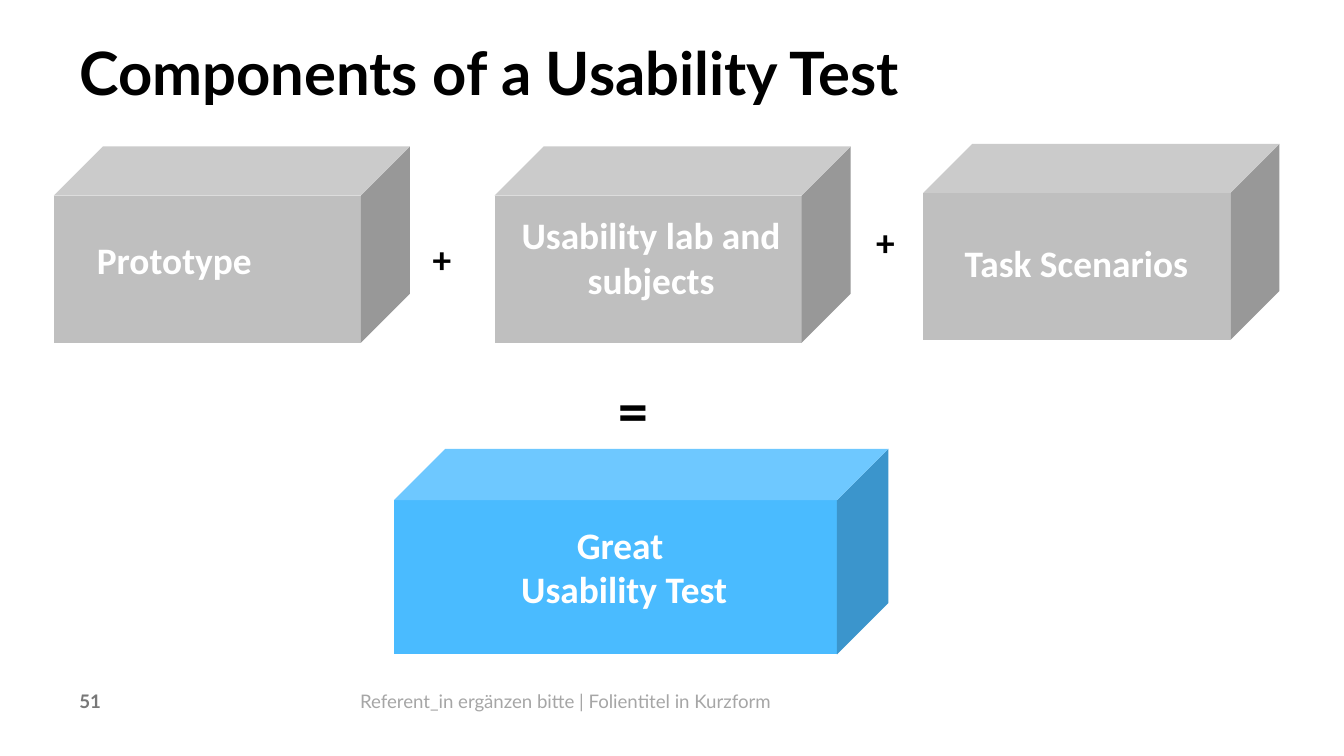
"""Build the slide on the components of a usability test."""
from dataclasses import dataclass

from pptx import Presentation
from pptx.dml.color import RGBColor
from pptx.enum.shapes import MSO_SHAPE
from pptx.enum.text import MSO_ANCHOR, PP_ALIGN
from pptx.util import Inches, Pt

BLACK, WHITE, GREY, BLUE = "000000", "FFFFFF", "BFBFBF", "4ABBFF"
SLIDE_WIDTH = 10
SLIDE_HEIGHT = SLIDE_WIDTH * 9 / 16


@dataclass(frozen=True)
class Box:
    left: float
    top: float
    width: float
    height: float

    def lengths(self) -> list[Inches]:
        return [Inches(n) for n in (self.left, self.top, self.width, self.height)]


@dataclass(frozen=True)
class Label:
    text: str
    box: Box
    size: int = 20
    color: str = WHITE
    font: str = "Calibri"
    bold: bool = True
    align: PP_ALIGN = PP_ALIGN.LEFT
    anchor: MSO_ANCHOR = MSO_ANCHOR.MIDDLE
    bottom_inset: float = 0.05


@dataclass(frozen=True)
class Block:
    shape: MSO_SHAPE
    box: Box
    fill: str


def rgb(color: str) -> RGBColor:
    return RGBColor.from_string(color)


def write(holder, label: Label) -> None:
    frame = holder.text_frame
    frame.word_wrap = True
    frame.vertical_anchor = label.anchor
    frame.margin_left = frame.margin_top = frame.margin_right = 0
    frame.margin_bottom = Inches(label.bottom_inset)
    frame.text = label.text
    for paragraph in frame.paragraphs:
        paragraph.alignment = label.align
        for run in paragraph.runs:
            run.font.name = label.font
            run.font.size = Pt(label.size)
            run.font.bold = label.bold
            run.font.color.rgb = rgb(label.color)


def add_label(slide, label: Label) -> None:
    write(slide.shapes.add_textbox(*label.box.lengths()), label)


def add_block(slide, block: Block):
    solid = slide.shapes.add_shape(block.shape, *block.box.lengths())
    solid.shadow.inherit = False
    solid.fill.solid()
    solid.fill.fore_color.rgb = rgb(block.fill)
    solid.line.fill.background()
    return solid


def add_title(slide, label: Label) -> None:
    title = slide.shapes.title
    title.left, title.top, title.width, title.height = label.box.lengths()
    write(title, label)
    title.text_frame.paragraphs[0].line_spacing = Pt(34)


TITLE = Label("Components of a Usability Test", Box(0.59, 0.33, 8.23, 0.49),
              32, BLACK, "Lato", anchor=MSO_ANCHOR.TOP, bottom_inset=0)
FOOTERS = [
    Label("Referent_in ergänzen bitte | Folientitel in Kurzform", Box(2.68, 5.13, 6, 0.2),
          10, "A6A6A6", "Lato", False, anchor=MSO_ANCHOR.TOP, bottom_inset=0),
    Label("51", Box(0.59, 5.13, 1.89, 0.2),
          10, "787878", "Lato", anchor=MSO_ANCHOR.TOP, bottom_inset=0),
]
COMPONENTS = [
    Block(MSO_SHAPE.CUBE, Box(left, top, 2.65, 1.46), GREY)
    for left, top in ((0.4, 1.09), (3.68, 1.09), (6.87, 1.07))
]
RESULT = Block(MSO_SHAPE.CUBE, Box(2.93, 3.34, 3.68, 1.53), BLUE)
LABELS = [
    Label("Prototype", Box(0.72, 1.76, 1.55, 0.39)),
    Label("Usability lab and subjects", Box(3.8, 1.58, 2.09, 0.72), align=PP_ALIGN.CENTER),
    Label("+", Box(3.22, 1.75, 0.24, 0.39), color=BLACK),
    Label("+", Box(6.52, 1.63, 0.24, 0.39), color=BLACK),
    Label("=", Box(4.6, 2.77, 0.39, 0.59), 32, BLACK),
    Label("Great \nUsability Test", Box(3.57, 3.88, 2.15, 0.72), align=PP_ALIGN.CENTER),
]
SCENARIOS = Label("Task Scenarios", Box(6.88, 1.62, 2.26, 0.72), align=PP_ALIGN.CENTER)


def main() -> None:
    deck = Presentation()
    deck.slide_width, deck.slide_height = Inches(SLIDE_WIDTH), Inches(SLIDE_HEIGHT)
    slide = deck.slides.add_slide(deck.slide_layouts[5])
    add_title(slide, TITLE)
    for block in (*COMPONENTS, RESULT):
        add_block(slide, block)
    for label in (*FOOTERS, *LABELS):
        add_label(slide, label)
    write(add_block(slide, Block(MSO_SHAPE.RECTANGLE, SCENARIOS.box, GREY)), SCENARIOS)
    deck.save("out.pptx")


if __name__ == "__main__":
    main()
